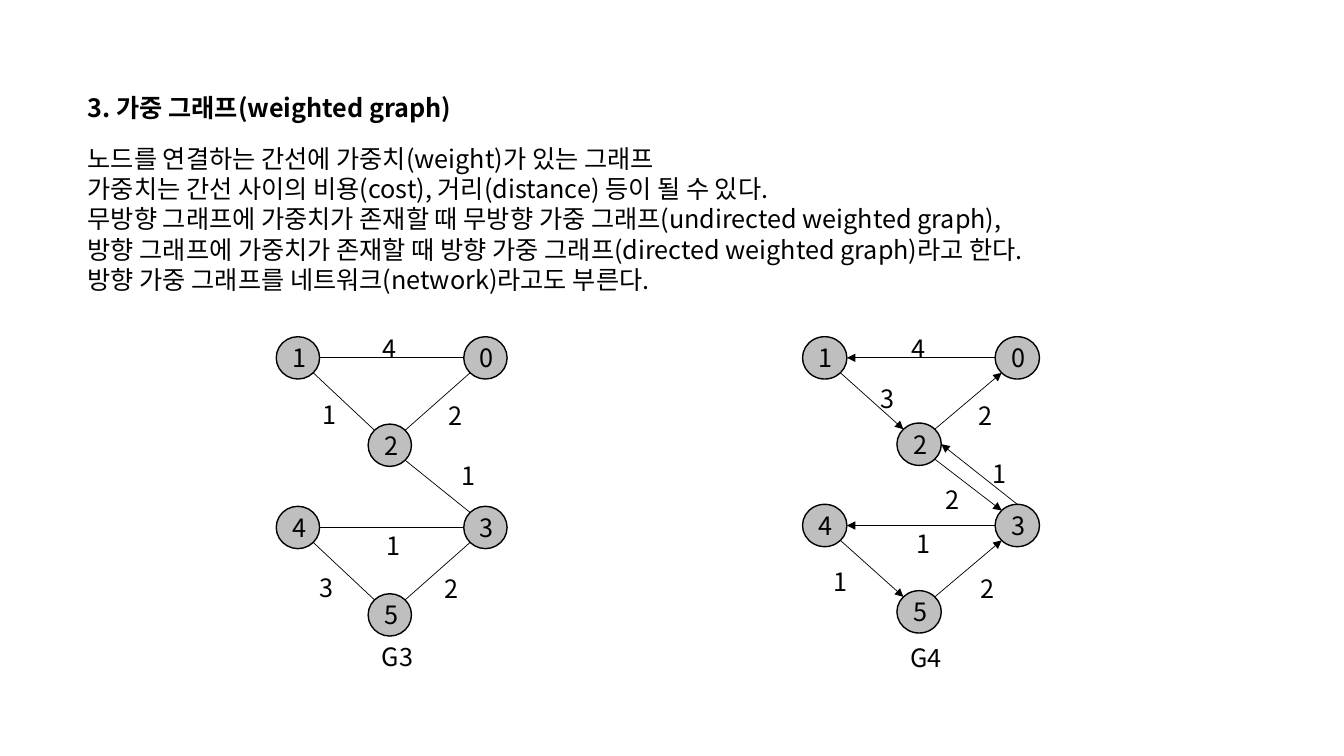
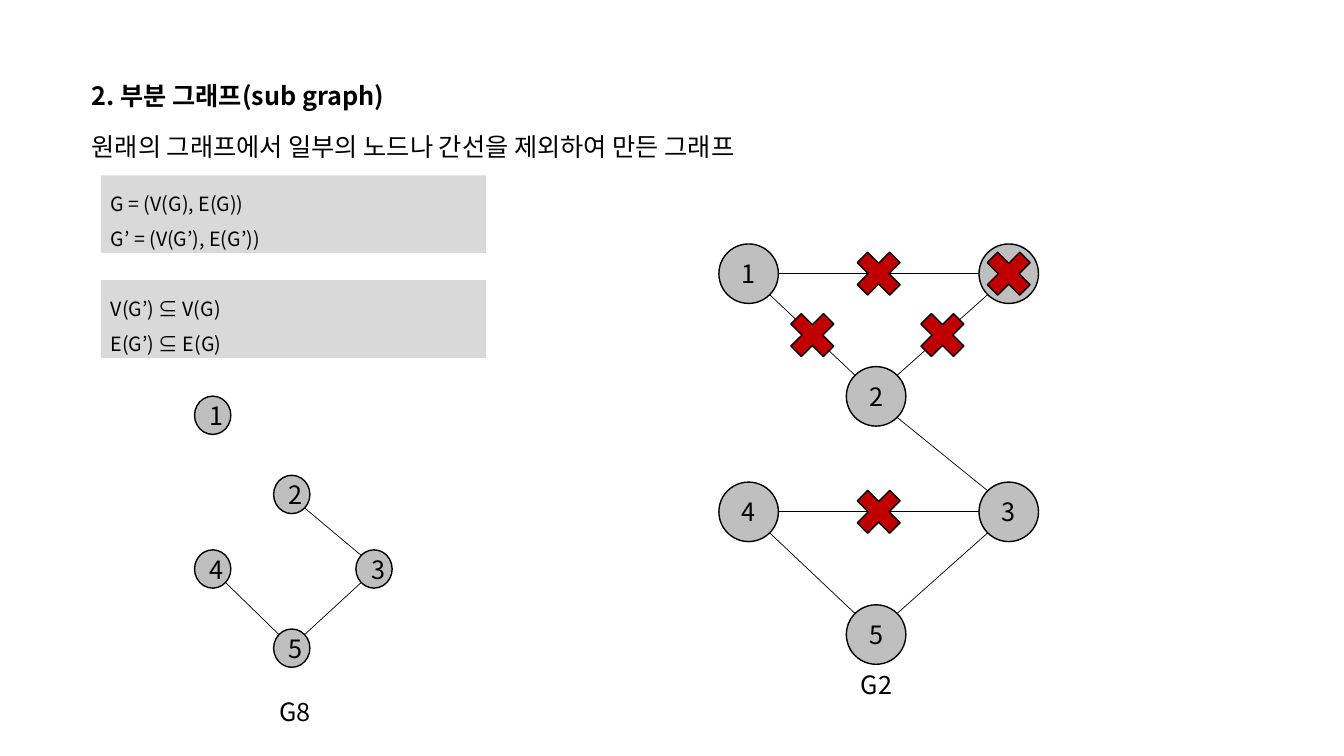
from dataclasses import dataclass
from math import sqrt

from lxml.etree import SubElement
from pptx import Presentation
from pptx.dml.color import RGBColor
from pptx.enum.shapes import MSO_CONNECTOR, MSO_SHAPE
from pptx.enum.text import MSO_ANCHOR, MSO_AUTO_SIZE, PP_ALIGN
from pptx.oxml.ns import qn
from pptx.util import Inches, Pt

COLORS = {"ink": "000000", "node": "BFBFBF", "panel": "D9D9D9", "cross": "C00000"}
FONT = "Noto Sans CJK KR"
LEFT, CENTER = PP_ALIGN.LEFT, PP_ALIGN.CENTER
COLUMNS = (0, 0.49, 1)
ROWS = (0, 0.34, 0.66, 1)
NODE_CELLS = {"1": (0, 0), "0": (2, 0), "2": (1, 1), "3": (2, 2), "4": (0, 2), "5": (1, 3)}
CROSS_SIZE = 0.62
TOP, RIGHT = (0, -1), (1, 0)


@dataclass
class Graph:
    box: tuple
    node_size: tuple
    edges: list
    labels: list
    nodes: str = "102345"
    label_size: tuple = (0.69, 0.29)
    directed: bool = False
    crosses: tuple = ()


def color(name):
    return RGBColor.from_string(COLORS[name])


def inches(*lengths):
    return [Inches(length) for length in lengths]


def write(frame, lines, size=18, bold=False, align=LEFT, anchor=MSO_ANCHOR.TOP, spacing=1.0):
    frame.word_wrap = True
    frame.auto_size = MSO_AUTO_SIZE.NONE
    frame.vertical_anchor = anchor
    for index, line in enumerate(lines):
        para = frame.paragraphs[0] if index == 0 else frame.add_paragraph()
        para.text = line
        para.alignment = align
        para.line_spacing = spacing
        para.space_before = Pt(0)
        properties = para._p.get_or_add_pPr()
        properties.set("marL", "0")
        properties.set("indent", "0")
        SubElement(properties, qn("a:buNone"))
        para.font.name = FONT
        para.font.size = Pt(size)
        para.font.bold = bold
        para.font.color.rgb = color("ink")
        SubElement(properties.find(qn("a:defRPr")), qn("a:ea"), typeface=FONT)


def add_page(deck, left, top, title, lines):
    page = deck.slides.add_slide(deck.slide_layouts[1])
    heading, body = page.placeholders
    body_height = 0.1 + 0.3 * len(lines)
    for holder, offset, width, height in ((heading, 0, 9.85, 0.4), (body, 0.5, 9.67, body_height)):
        holder.left, holder.top, holder.width, holder.height = inches(left, top + offset, width, height)
    write(heading.text_frame, [title], bold=True)
    write(body.text_frame, lines)
    return page


def add_figure(shapes, kind, box, fill, outlined=True):
    figure = shapes.add_shape(kind, *inches(*box))
    figure.shadow.inherit = False
    figure.fill.solid()
    figure.fill.fore_color.rgb = color(fill)
    if outlined:
        figure.line.color.rgb = color("ink")
        figure.line.width = Pt(1)
    else:
        figure.line.fill.background()
    return figure


def add_panel(page, box, lines):
    panel = add_figure(page.shapes, MSO_SHAPE.RECTANGLE, box, "panel", outlined=False)
    write(panel.text_frame, lines, size=14, spacing=1.5)


def add_edge(shapes, start, end, directed):
    edge = shapes.add_connector(MSO_CONNECTOR.STRAIGHT, *inches(*start, *end))
    edge.line.color.rgb = color("ink")
    edge.line.width = Pt(0.5)
    if directed:
        SubElement(edge.line._get_or_add_ln(), qn("a:tailEnd"), type="triangle")
    SubElement(edge._element.spPr, qn("a:effectLst"))


def sign(value):
    return (value > 0) - (value < 0)


def rim_point(center, size, direction):
    length = sqrt(direction[0] ** 2 + direction[1] ** 2)
    return tuple(c + s / 2 * d / length for c, s, d in zip(center, size, direction))


def add_graph(page, graph):
    shapes = page.shapes.add_group_shape().shapes
    left, top, width, height = graph.box
    node_width, node_height = graph.node_size
    centers = {}
    for name in graph.nodes:
        column, row = NODE_CELLS[name]
        x = left + COLUMNS[column] * (width - node_width)
        y = top + ROWS[row] * (height - node_height)
        centers[name] = (x + node_width / 2, y + node_height / 2)
        node = add_figure(shapes, MSO_SHAPE.OVAL, (x, y, node_width, node_height), "node")
        write(node.text_frame, [name], align=CENTER, anchor=MSO_ANCHOR.MIDDLE)

    for first, last, *sides in graph.edges:
        start, end = centers[first], centers[last]
        toward = tuple(sign(round(b - a, 2)) for a, b in zip(start, end))
        leave, arrive = sides or (toward, tuple(-step for step in toward))
        add_edge(shapes, rim_point(start, graph.node_size, leave),
                 rim_point(end, graph.node_size, arrive), graph.directed)

    for text, x, y, align in graph.labels:
        label = shapes.add_textbox(*inches(left + x, top + y, *graph.label_size))
        write(label.text_frame, [text], align=align)

    for place in graph.crosses:
        points = [centers[name] for name in place]
        x, y = (sum(values) / len(points) - CROSS_SIZE / 2 for values in zip(*points))
        add_figure(shapes, MSO_SHAPE.MATH_MULTIPLY, (x, y, CROSS_SIZE, CROSS_SIZE), "cross")


def add_weighted_page(deck):
    page = add_page(deck, 0.77, 0.87, "3. 가중 그래프(weighted graph)", [
        "노드를 연결하는 간선에 가중치(weight)가 있는 그래프",
        "가중치는 간선 사이의 비용(cost), 거리(distance) 등이 될 수 있다.",
        "무방향 그래프에 가중치가 존재할 때 무방향 가중 그래프(undirected weighted graph),",
        "방향 그래프에 가중치가 존재할 때 방향 가중 그래프(directed weighted graph)라고 한다.",
        "방향 가중 그래프를 네트워크(network)라고도 부른다.",
    ])
    add_graph(page, Graph(
        box=(2.74, 3.34, 2.29, 2.97), node_size=(0.43, 0.42),
        edges=["01", "12", "20", "23", "34", "45", "53"],
        labels=[("4", 0.78, -0.08, CENTER), ("1", 0.36, 0.57, LEFT), ("2", 1.61, 0.58, LEFT),
                ("1", 1.74, 1.18, LEFT), ("1", 0.82, 1.87, CENTER), ("2", 1.57, 2.3, LEFT),
                ("3", 0.33, 2.29, LEFT), ("G3", 0.95, 2.97, LEFT)]))
    add_graph(page, Graph(
        box=(7.96, 3.34, 2.35, 2.94), node_size=(0.44, 0.42), directed=True,
        edges=["01", "12", "20", "23", ("3", "2", TOP, RIGHT), "34", "45", "53"],
        labels=[("4", 0.8, -0.08, CENTER), ("3", 0.67, 0.41, LEFT), ("2", 1.65, 0.58, LEFT),
                ("1", 1.79, 1.16, LEFT), ("2", 1.32, 1.42, LEFT), ("1", 0.85, 1.85, CENTER),
                ("2", 1.49, 2.3, CENTER), ("1", 0.03, 2.23, CENTER), ("G4", 0.97, 2.98, LEFT)]))


def add_subgraph_page(deck):
    page = add_page(deck, 0.81, 0.75, "2. 부분 그래프(sub graph)",
                    ["원래의 그래프에서 일부의 노드나 간선을 제외하여 만든 그래프"])
    panels = (["G = (V(G), E(G))", "G’ = (V(G’), E(G’))"], ["V(G’) ⊆ V(G)", "E(G’) ⊆ E(G)"])
    for index, lines in enumerate(panels):
        add_panel(page, (1, 1.74 + 1.04 * index, 3.82, 0.77), lines)
    add_graph(page, Graph(
        box=(1.93, 3.93, 1.96, 2.69), node_size=(0.36, 0.38), nodes="12345",
        edges=["23", "45", "53"],
        labels=[("G8", 0.74, 2.93, LEFT)], label_size=(0.94, 0.4)))
    add_graph(page, Graph(
        box=(7.13, 2.42, 3.17, 4.17), node_size=(0.59, 0.59),
        edges=["01", "12", "20", "23", "34", "45", "53"],
        labels=[("G2", 1.31, 4.17, LEFT)], label_size=(0.94, 0.4),
        crosses=("34", "20", "0", "01", "12")))


def main():
    deck = Presentation()
    deck.slide_width, deck.slide_height = inches(13.33, 7.5)
    add_weighted_page(deck)
    add_subgraph_page(deck)
    deck.save("out.pptx")


if __name__ == "__main__":
    main()
